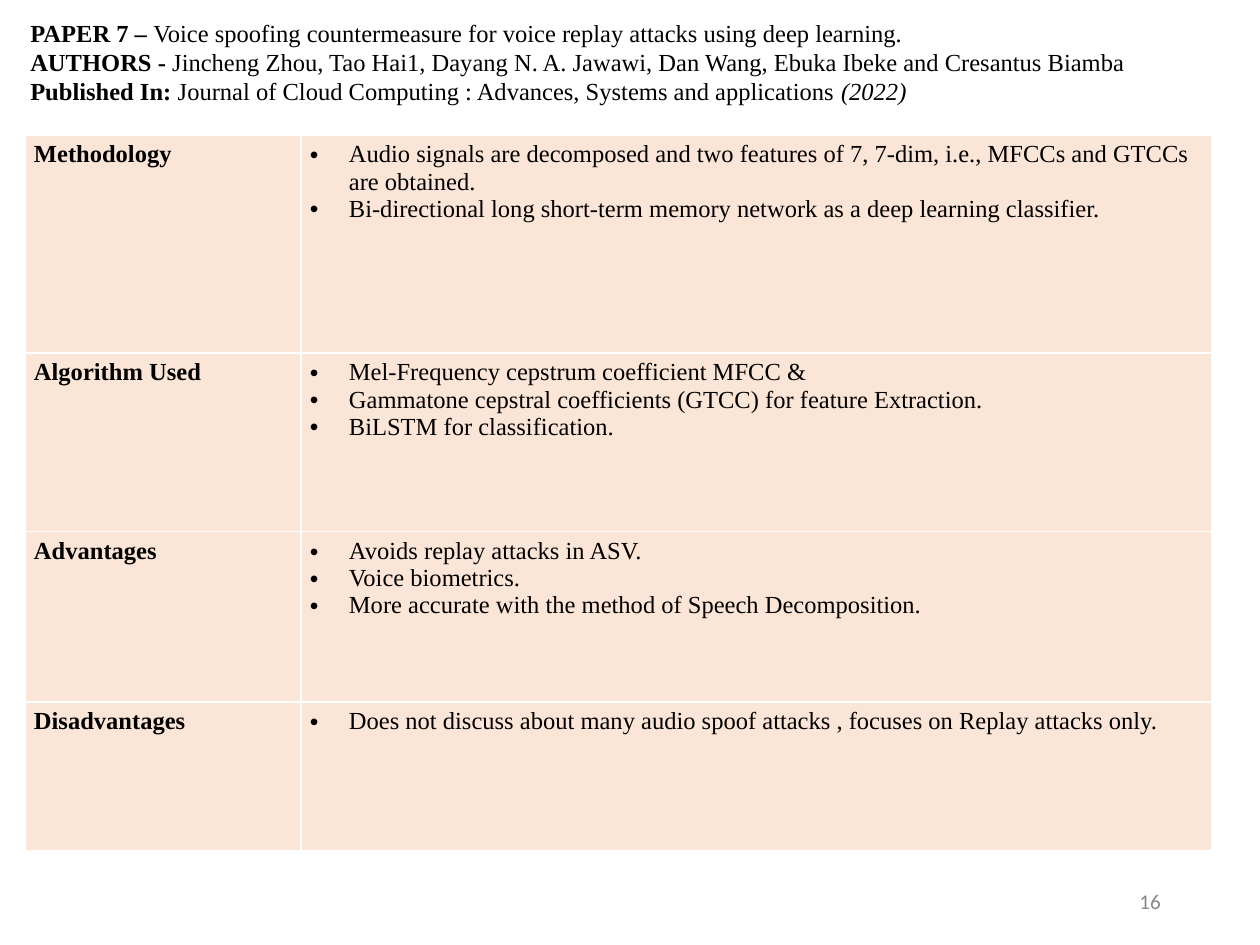
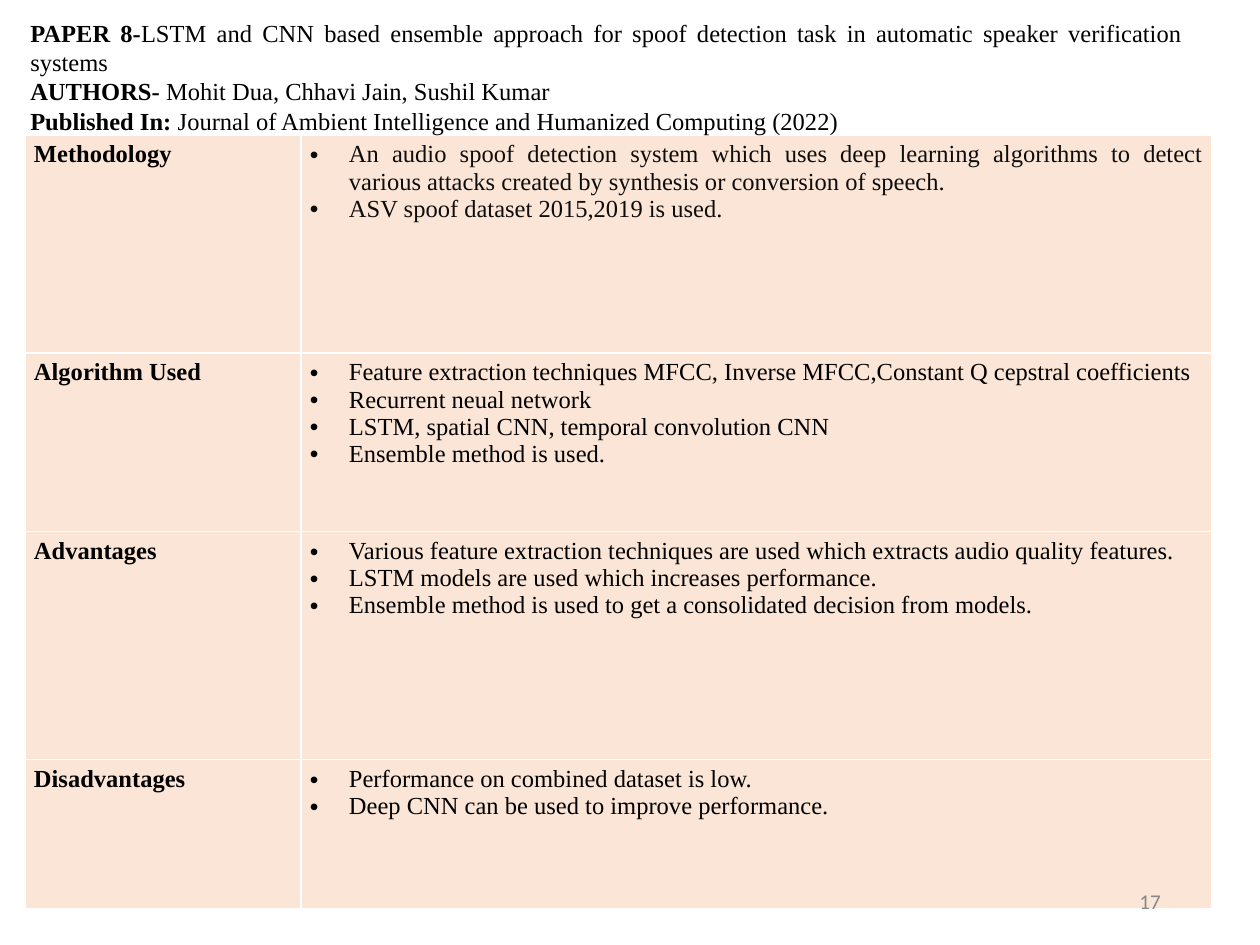
"""Build two literature review slides, each with a paper heading and a summary table."""
import pptx
import pptx.util
import pptx.dml.color
import pptx.enum.text
import pptx.oxml
import pptx.oxml.ns

Inches, Pt = pptx.util.Inches, pptx.util.Pt
ALIGN = pptx.enum.text.PP_ALIGN
ANCHOR = pptx.enum.text.MSO_ANCHOR

COLORS = {"text": "000000", "soft_text": "0D0D0D", "cell": "FBE5D6", "border": "FFFFFF", "number": "888888"}
BODY_FONT, NUMBER_FONT = "Times New Roman", "Calibri"
TOPICS = ["Methodology", "Algorithm Used", "Advantages", "Disadvantages"]
COLUMN_WIDTHS = [2.19, 7.23]
BULLET_INDENT = 0.31

PAPERS = [
    {
        "number": 16,
        "heading_width": 9.66,
        "heading": [
            [("PAPER 7 – ", "bold"),
             ("Voice spoofing countermeasure for voice replay attacks using deep learning.", "")],
            [("AUTHORS - ", "bold"),
             ("Jincheng Zhou, Tao Hai1, Dayang N. A. Jawawi, Dan Wang, Ebuka Ibeke and Cresantus Biamba", "")],
            [("Published In: ", "bold"),
             ("Journal of Cloud Computing : Advances, Systems and applications", ""),
             (" (2022)", "italic")],
        ],
        "row_heights": [1.73, 1.42, 1.35, 1.18],
        "justified": "Advantages",
        "text_colors": {},
        "findings": [
            ["Audio signals are decomposed and two features of 7, 7-dim, i.e., MFCCs and GTCCs are obtained.",
             "Bi-directional long short-term memory network as a deep learning classifier."],
            ["Mel‑Frequency cepstrum coefficient MFCC &",
             "Gammatone cepstral coefficients (GTCC) for feature Extraction.",
             "BiLSTM for classification."],
            ["Avoids replay attacks in ASV.",
             "Voice biometrics.",
             "More accurate with the method of Speech Decomposition."],
            ["Does not discuss about many audio spoof attacks , focuses on Replay attacks only."],
        ],
    },
    {
        "number": 17,
        "heading_width": 9.35,
        "heading": [
            [("PAPER 8-", "bold"),
             ("LSTM and CNN based ensemble approach for spoof detection task in automatic speaker "
              "verification systems", "")],
            [("AUTHORS- ", "bold"), ("Mohit Dua, Chhavi Jain, Sushil Kumar", "")],
            [("Published In: ", "bold"),
             ("Journal of Ambient Intelligence and Humanized Computing (2022)", "")],
        ],
        "row_heights": [1.73, 1.42, 1.81, 1.18],
        "justified": "Methodology",
        "text_colors": {"Methodology": "soft_text"},
        "findings": [
            ["An audio spoof detection system which uses deep learning algorithms to detect various attacks "
             "created by synthesis or conversion of speech.",
             "ASV spoof dataset 2015,2019 is used."],
            ["Feature extraction techniques MFCC, Inverse MFCC,Constant Q cepstral coefficients",
             "Recurrent neual network",
             "LSTM, spatial CNN, temporal convolution CNN",
             "Ensemble method is used."],
            ["Various feature extraction techniques are used which extracts audio quality features.",
             "LSTM models are used which increases performance.",
             "Ensemble method is used to get a consolidated decision from models."],
            ["Performance on combined dataset is low.",
             "Deep CNN can be used to improve performance."],
        ],
    },
]


def set_font(font, color="text", size=14, name=BODY_FONT, bold=False, italic=False):
    font.name, font.size, font.bold, font.italic = name, Pt(size), bold, italic
    font.color.rgb = pptx.dml.color.RGBColor.from_string(COLORS[color])


def add_xml(parent, tag, attributes, content=""):
    namespace = pptx.oxml.ns.nsdecls("a")
    parent.append(pptx.oxml.parse_xml(f"<a:{tag} {namespace} {attributes}>{content}</a:{tag}>"))


def add_bullet(paragraph, color):
    properties = paragraph._p.get_or_add_pPr()
    properties.set("marL", str(Inches(BULLET_INDENT)))
    properties.set("indent", str(-Inches(BULLET_INDENT)))
    add_xml(properties, "buClr", "", f'<a:srgbClr val="{COLORS[color]}"/>')
    add_xml(properties, "buFont", 'typeface="Arial"')
    add_xml(properties, "buChar", 'char="•"')


def style_cell(cell):
    cell.margin_left = cell.margin_right = Inches(0.07)
    cell.margin_top = cell.margin_bottom = Inches(0.05)
    cell.vertical_anchor = ANCHOR.TOP
    border_fill = f'<a:solidFill><a:srgbClr val="{COLORS["border"]}"/></a:solidFill>'
    for side in ("lnL", "lnR", "lnT", "lnB"):
        add_xml(cell._tc.get_or_add_tcPr(), side, f'w="{Pt(1)}"', border_fill)
    cell.fill.solid()
    cell.fill.fore_color.rgb = pptx.dml.color.RGBColor.from_string(COLORS["cell"])


def fill_cell(cell, lines, color="text", bold=False, bulleted=False, alignment=ALIGN.LEFT):
    style_cell(cell)
    cell.text = "\n".join(lines)
    for paragraph in cell.text_frame.paragraphs:
        paragraph.alignment = alignment
        if bulleted:
            add_bullet(paragraph, color)
        set_font(paragraph.font, color, bold=bold)


def add_summary(slide, paper):
    heights = paper["row_heights"]
    table = slide.shapes.add_table(len(TOPICS), len(COLUMN_WIDTHS), Inches(0.2), Inches(1.07),
                                   Inches(sum(COLUMN_WIDTHS)), Inches(sum(heights))).table
    table.first_row = table.horz_banding = False
    for column, width in zip(table.columns, COLUMN_WIDTHS):
        column.width = Inches(width)
    for row, height, topic, findings in zip(table.rows, heights, TOPICS, paper["findings"]):
        row.height = Inches(height)
        topic_cell, findings_cell = row.cells
        fill_cell(topic_cell, [topic], bold=True)
        fill_cell(findings_cell, findings, paper["text_colors"].get(topic, "text"), bulleted=True,
                  alignment=ALIGN.JUSTIFY if topic == paper["justified"] else ALIGN.LEFT)


def add_heading(slide, paper):
    title = slide.shapes.title
    slide.shapes._spTree.append(title._element)
    title.left, title.top = Inches(0.14), Inches(0.09)
    title.width, title.height = Inches(paper["heading_width"]), Inches(1.04)
    frame = title.text_frame
    frame.word_wrap = True
    frame.auto_size = pptx.enum.text.MSO_AUTO_SIZE.NONE
    frame.vertical_anchor = ANCHOR.TOP
    for index, parts in enumerate(paper["heading"]):
        paragraph = frame.add_paragraph() if index else frame.paragraphs[0]
        paragraph.alignment = ALIGN.JUSTIFY
        for text, emphasis in parts:
            run = paragraph.add_run()
            run.text = text
            set_font(run.font, bold=emphasis == "bold", italic=emphasis == "italic")


def add_number(slide, number):
    frame = slide.shapes.add_textbox(Inches(7.06), Inches(6.95), Inches(2.25), Inches(0.4)).text_frame
    frame.word_wrap = True
    frame.vertical_anchor = ANCHOR.MIDDLE
    paragraph = frame.paragraphs[0]
    paragraph.text = str(number)
    paragraph.alignment = ALIGN.RIGHT
    set_font(paragraph.font, "number", 12, NUMBER_FONT)


def main():
    presentation = pptx.Presentation()
    presentation.slide_width, presentation.slide_height = Inches(10), Inches(7.5)
    for paper in PAPERS:
        slide = presentation.slides.add_slide(presentation.slide_layouts.get_by_name("Title Only"))
        add_summary(slide, paper)
        add_heading(slide, paper)
        add_number(slide, paper["number"])
    presentation.save("out.pptx")


if __name__ == "__main__":
    main()
